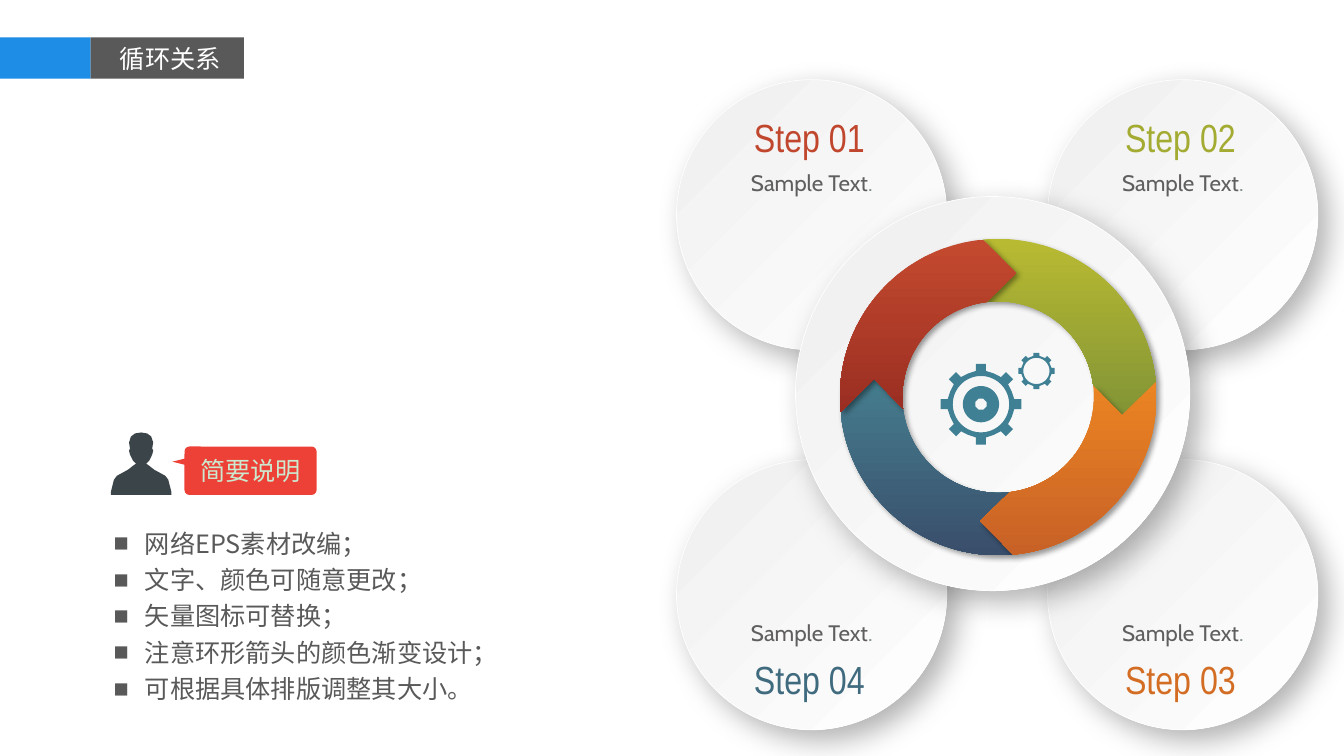
from math import cos, radians, sin

from lxml.etree import SubElement
from pptx import Presentation
from pptx.dml.color import RGBColor as RGB
from pptx.enum.shapes import MSO_SHAPE as Kind
from pptx.enum.text import MSO_ANCHOR as Anchor, MSO_AUTO_SIZE as Auto, PP_ALIGN as Align
from pptx.oxml.ns import qn
from pptx.util import Inches, Pt

WHITE = RGB(0xFF, 0xFF, 0xFF)
PALE = RGB(0xEF, 0xEF, 0xEF)
MINT = RGB(0xCC, 0xE8, 0xCF)
BLUE = RGB(0x1D, 0x8D, 0xE5)
GREY = RGB(0x59, 0x59, 0x59)
SLATE = RGB(0x3B, 0x44, 0x49)
RED = RGB(0xED, 0x41, 0x37)
TEAL = RGB(0x3F, 0x80, 0x94)
TEXT = RGB(0x60, 0x5E, 0x5E)
DOT = RGB(0x85, 0x92, 0x91)

CJK = "Noto Sans CJK SC"
TITLE = "循环关系"
BRIEF = "简要说明"
NOTES = [
    "网络EPS素材改编；",
    "文字、颜色可随意更改；",
    "矢量图标可替换；",
    "注意环形箭头的颜色渐变设计；",
    "可根据具体排版调整其大小。",
]
# name, colour, column, row
STEPS = [
    ("Step 03", RGB(0xD4, 0x6D, 0x24), 1, 1),
    ("Step 04", RGB(0x40, 0x6B, 0x7F), 0, 1),
    ("Step 02", RGB(0xA4, 0xAB, 0x33), 1, 0),
    ("Step 01", RGB(0xC0, 0x47, 0x2D), 0, 0),
]
# quarter turns from the top right, gradient from top to bottom
ARROWS = [
    (2, RGB(0x45, 0x7D, 0x8E), RGB(0x39, 0x4E, 0x6B)),
    (0, RGB(0xB8, 0xBA, 0x31), RGB(0x82, 0x94, 0x36)),
    (1, RGB(0xEB, 0x84, 0x22), RGB(0xC8, 0x61, 0x26)),
    (3, RGB(0xC4, 0x4A, 0x2F), RGB(0x9A, 0x2E, 0x22)),
]
HUB = (9.9, 3.94)
BUST_X = 1.4
# right half of the bust: distance from its axis, height on the slide
BUST = [
    (0, 4.29), (0.06, 4.3), (0.1, 4.33), (0.12, 4.39), (0.11, 4.45),
    (0.12, 4.47), (0.11, 4.51), (0.1, 4.53), (0.08, 4.57), (0.05, 4.6),
    (0.08, 4.62), (0.13, 4.66), (0.24, 4.72), (0.27, 4.76),
    (0.3, 4.88), (0.3, 4.91),
]

prs = Presentation()
prs.slide_width, prs.slide_height = Inches(13.33), Inches(7.5)
slide = prs.slides.add_slide(prs.slide_layouts[5])
shapes = slide.shapes


def paint(shape, fill, end=None, turn=0):
    shape.shadow.inherit = False
    shape.line.fill.background()
    if end is None:
        shape.fill.solid()
        shape.fill.fore_color.rgb = fill
        return
    shape.fill.gradient()
    shape.fill.gradient_angle = 360 - turn
    for stop, tone in zip(shape.fill.gradient_stops, (fill, end)):
        stop.color.rgb = tone


def shade(shape, alpha, blur, dist):
    effects = shape._element.spPr.find(qn("a:effectLst"))
    outer = SubElement(effects, qn("a:outerShdw"), blurRad=str(Pt(blur)),
                       dist=str(Pt(dist)), dir="2700000", algn="tl", rotWithShape="0")
    black = SubElement(outer, qn("a:srgbClr"), val="000000")
    SubElement(black, qn("a:alpha"), val=str(alpha * 1000))


def preset(kind, box, *fill):
    shape = shapes.add_shape(kind, *map(Inches, box))
    paint(shape, *fill)
    return shape


def disc(x, y, size):
    shape = preset(Kind.OVAL, (x, y, size, size), PALE, WHITE, 45)
    shape.line.color.rgb = WHITE
    shape.line.width = Pt(0.5)
    shade(shape, 30, 21, 10)


def outline(loops, *fill):
    """Fill the area between closed loops of points given in inches."""
    loops = [[(Inches(x), Inches(y)) for x, y in loop] for loop in loops]
    pen = shapes.build_freeform(*loops[0][0], scale=1.0)
    for n, loop in enumerate(loops):
        if n:
            pen.move_to(*loop[0])
        pen.add_line_segments(loop[1:], close=True)
    shape = pen.convert_to_shape()
    paint(shape, *fill)
    return shape


def style(run, size, face, tone):
    run.font.size, run.font.name = Pt(size), face
    run.font.color.rgb = tone
    SubElement(run._r.get_or_add_rPr(), qn("a:ea"), typeface=face)


def label(box, parts, size, face):
    frame = shapes.add_textbox(*map(Inches, box)).text_frame
    frame.word_wrap = True
    for words, tone in parts:
        run = frame.paragraphs[0].add_run()
        run.text = words
        style(run, size, face, tone)


def spin(points, angle, hub):
    c, s = cos(radians(angle)), sin(radians(angle))
    return [(hub[0] + x * c - y * s, hub[1] + x * s + y * c) for x, y in points]


def arc(radius, start, end, steps=40):
    angles = [radians(start + (end - start) * i / steps) for i in range(steps + 1)]
    return [(radius * cos(a), radius * sin(a)) for a in angles]


def gear(hub, tip, body, half, hole):
    """Return the loops of an eight-toothed wheel with a round hole."""
    tooth = [(body, -half), (tip, -half), (tip, half), (body, half)]
    tooth += arc(body, 22.5, 22.5, 1)[:1]
    rim = [p for k in range(8) for p in spin(tooth, 45 * k, hub)]
    return [rim, spin(arc(hole, 0, 360), 0, hub)]


# Heading
preset(Kind.RECTANGLE, (0, 0.37, 0.9, 0.41), BLUE)
preset(Kind.RECTANGLE, (0.9, 0.37, 1.52, 0.41), GREY)
title = shapes.title
shapes._spTree.append(title._element)
title.left, title.top, title.width, title.height = map(Inches, (1.09, 0.38, 1.21, 0.4))
frame = title.text_frame
frame.text = TITLE
frame.word_wrap, frame.auto_size = False, Auto.NONE
frame.vertical_anchor = Anchor.TOP
frame.paragraphs[0].alignment = Align.LEFT
style(frame.paragraphs[0].runs[0], 18, "Arial", WHITE)

# Discs
for name, tone, col, row in STEPS:
    disc(6.71 + 3.68 * col, 0.79 + 3.77 * row, 2.68)
disc(7.89, 1.95, 3.91)

# Bust, callout and notes
bust = [(BUST_X + x, y) for x, y in BUST] + [(BUST_X - x, y) for x, y in BUST[:0:-1]]
outline([bust], SLATE)
call = preset(Kind.ROUNDED_RECTANGLE, (1.83, 4.43, 1.31, 0.48), RED)
call.adjustments[0] = 0.1
frame = call.text_frame
frame.text = BRIEF
frame.margin_left = frame.margin_right = frame.margin_top = frame.margin_bottom = 0
frame.vertical_anchor = Anchor.MIDDLE
frame.paragraphs[0].alignment = Align.CENTER
style(frame.paragraphs[0].runs[0], 18, CJK, MINT)
preset(Kind.ISOSCELES_TRIANGLE, (1.75, 4.5, 0.08, 0.16), RED).rotation = 270

frame = shapes.add_textbox(*map(Inches, (1.03, 5.13, 4.6, 1.92))).text_frame
frame.word_wrap = True
frame.text = "\n".join(NOTES)
for para in frame.paragraphs:
    para.line_spacing = 1.2
    props = para._p.get_or_add_pPr()
    props.set("marL", str(Inches(0.31)))
    props.set("indent", str(-Inches(0.31)))
    SubElement(props, qn("a:buFont"), typeface="Arial")
    SubElement(props, qn("a:buChar"), char="■")
    style(para.runs[0], 18, CJK, GREY)

# Ring of arrows
arrow = arc(1.57, -95.5, -5.5) + [(1.23, 0.18)] + arc(0.95, -7, -97) + [(0.18, -1.23)]
for turn, top, bottom in ARROWS:
    shade(outline([spin(arrow, 90 * turn, HUB)], top, bottom, 90), 40, 4, 3)

# Gears
big = (9.73, 4.01)
core = [spin(arc(0.18, 0, 360), 0, big), spin(arc(0.06, 22.5, 382.5, 8), 0, big)]
outline(core + gear(big, 0.4, 0.33, 0.05, 0.28)
        + gear((10.28, 3.68), 0.18, 0.15, 0.03, 0.13), TEAL)

# Step labels
for name, tone, col, row in STEPS:
    x = 7.35 + 3.68 * col
    label((x + 0.03, 1.08 + 5.37 * row, 1.4, 0.57), [(name, tone)], 28, "Arial Narrow")
    label((x, 1.63 + 4.46 * row, 1.48, 0.37), [("Sample Text", TEXT), (".", DOT)], 16, "Cabin")

prs.save("out.pptx")
